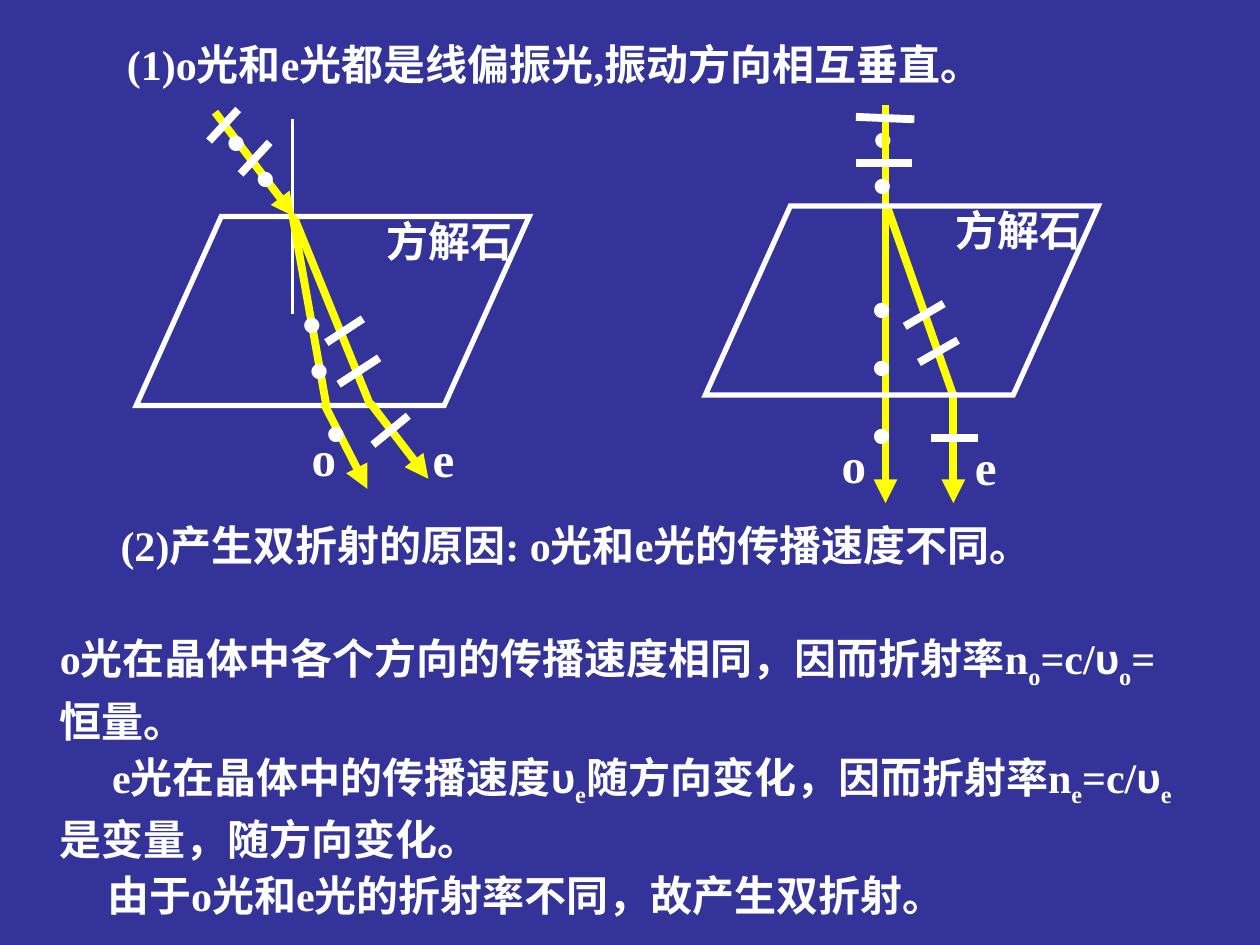
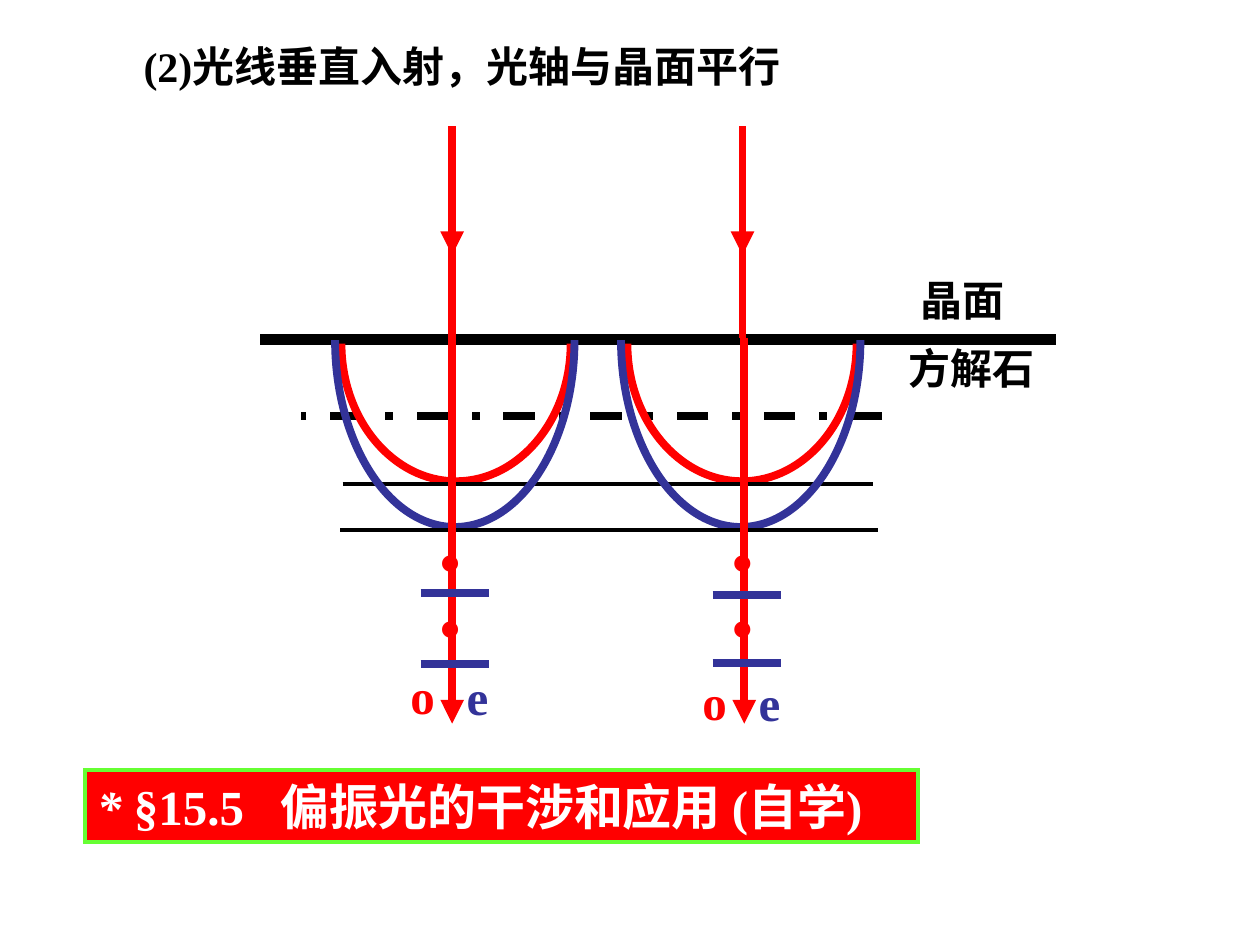
from lxml.etree import SubElement
from pptx import Presentation
from pptx.dml.color import RGBColor
from pptx.enum.dml import MSO_LINE
from pptx.enum.shapes import MSO_CONNECTOR as Connector, MSO_SHAPE as Shape
from pptx.enum.text import MSO_ANCHOR as Anchor, MSO_AUTO_SIZE as AutoSize, PP_ALIGN as Align
from pptx.oxml.ns import qn
from pptx.util import Pt

WHITE, BLACK, BLUE = "FFFFFF", "000000", "333399"
YELLOW, RED, GREEN = "FFFF00", "FF0000", "66FF33"
SERIF, SANS = "Times New Roman", "Arial"
RAY, EDGE, THIN = 4.5, 3, 2.25
CURVE = 0.55

FRAME = dict(word_wrap=True, auto_size=AutoSize.NONE, vertical_anchor=Anchor.TOP,
             margin_left=Pt(7.2), margin_right=Pt(7.2), margin_top=Pt(3.6), margin_bottom=Pt(3.6))
TEXT = dict(name=SERIF, size=Pt(24), bold=True)
LETTER = dict(TEXT, size=Pt(28))
DOT = dict(name=SANS, size=Pt(32))


def color(value):
    return RGBColor.from_string(value)


def apply(target, values):
    for name, value in values.items():
        setattr(target, name, value)


def points(*lengths):
    return [Pt(length) for length in lengths]


def add_run(paragraph, text, font, hue, baseline=None):
    run = paragraph.add_run()
    run.text = text
    apply(run.font, font)
    run.font.color.rgb = color(hue)
    if baseline:
        run.font._element.set("baseline", str(baseline))


def add_text(slide, text, box, font, hue):
    shape = slide.shapes.add_textbox(*points(*box))
    apply(shape.text_frame, FRAME)
    add_run(shape.text_frame.paragraphs[0], text, font, hue)


def add_title_slide(presentation, title, box, background, hue):
    slide = presentation.slides.add_slide(presentation.slide_layouts[5])
    slide.background.fill.solid()
    slide.background.fill.fore_color.rgb = color(background)
    shape = slide.shapes.title
    apply(shape, dict(zip(("left", "top", "width", "height"), points(*box))))
    apply(shape.text_frame, FRAME)
    paragraph = shape.text_frame.paragraphs[0]
    apply(paragraph, dict(alignment=Align.LEFT, space_before=Pt(0)))
    add_run(paragraph, title, TEXT, hue)
    return slide


def add_line(slide, ends, hue, width=RAY, arrow=False, dash=None):
    connector = slide.shapes.add_connector(Connector.STRAIGHT, *points(*ends))
    connector.line.color.rgb = color(hue)
    connector.line.width = Pt(width)
    if dash:
        connector.line.dash_style = dash
    properties = connector._element.spPr
    if arrow:
        SubElement(properties.find(qn("a:ln")), qn("a:tailEnd"), type="triangle")
    SubElement(properties, qn("a:effectLst"))


def add_dot(slide, x, y, hue, bold=False):
    add_text(slide, "•", (x - 12.5, y - 24.8, 40, 46), dict(DOT, bold=bold), hue)


def add_letter(slide, letter, left, top, hue):
    add_text(slide, letter, (left, top, 42, 41), LETTER, hue)


def outline(shape, hue, width):
    shape.shadow.inherit = False
    shape.fill.background()
    shape.line.color.rgb = color(hue)
    shape.line.width = Pt(width)
    SubElement(shape._element.spPr.find(qn("a:ln")), qn("a:miter"), lim="800000")


def add_crystal(slide, left, top):
    crystal = slide.shapes.add_shape(Shape.PARALLELOGRAM, *points(left, top, 224.6, 108))
    crystal.adjustments[0] = 0.45
    outline(crystal, WHITE, EDGE)
    add_text(slide, "方解石", (left + 135.8, top - 4.3, 93, 36), TEXT, WHITE)


def bend_segments(shape):
    outline_path = next(shape._element.iter(qn("a:path")))
    segments = outline_path.findall(qn("a:lnTo"))
    for start in range(0, len(segments), 3):
        bend = SubElement(outline_path, qn("a:cubicBezTo"))
        for segment in segments[start:start + 3]:
            bend.append(segment[0])
            outline_path.remove(segment)


def add_wavefront(slide, center, top, radius, depth, hue):
    curve = [(1, 0), (1, CURVE), (CURVE, 1), (0, 1), (-CURVE, 1), (-1, CURVE), (-1, 0)]
    corners = [(Pt(center + radius * x), Pt(top + depth * y)) for x, y in curve]
    builder = slide.shapes.build_freeform(*corners[0])
    builder.add_line_segments(corners[1:], close=False)
    wavefront = builder.convert_to_shape()
    bend_segments(wavefront)
    outline(wavefront, hue, RAY)


def add_explanation(slide):
    index = dict(baseline=-25000)
    speed = dict(font=dict(TEXT, name=SANS))
    paragraphs = [
        (34.6, 0, [("(2)产生双折射的原因: o光和e光的传播速度不同。", {})]),
        (0, 32.8, [("o光在晶体中各个方向的传播速度相同，因而折射率n", {}), ("o", index), ("=c/", {}),
                   ("υ", speed), ("o", index), ("=恒量。", {})]),
        (29.8, 0, [("e光在晶体中的传播速度", {}), ("υ", speed), ("e", index),
                   ("随方向变化，因而折射率n", {}), ("e", index), ("=c/", {}),
                   ("υ", speed), ("e", index), ("是变量，随方向变化。", {})]),
        (27, 0, [("由于o光和e光的折射率不同，故产生双折射。", {})]),
    ]
    frame = slide.shapes.add_textbox(*points(27.2, 290.4, 662.4, 243)).text_frame
    apply(frame, FRAME)
    for number, (indent, before, pieces) in enumerate(paragraphs):
        paragraph = frame.add_paragraph() if number else frame.paragraphs[0]
        apply(paragraph, dict(line_spacing=1.1, space_before=Pt(before)))
        paragraph._p.get_or_add_pPr().set("indent", str(Pt(indent)))
        for text, style in pieces:
            add_run(paragraph, text, **{"font": TEXT, "hue": WHITE, **style})


def add_marks(slide, ticks, dots):
    for tick in ticks:
        add_line(slide, tick, WHITE)
    for x, y in dots:
        add_dot(slide, x, y, WHITE)


def add_oblique_incidence(slide):
    add_crystal(slide, 77.8, 123.8)
    add_line(slide, (167, 68, 167, 179.3), WHITE, 1.5)
    for ends, arrow in [((167, 122.4, 186.5, 231.8), False), ((168.5, 125.3, 211.7, 231.8), False),
                        ((211.7, 230.4, 244.8, 273.6), True), ((185, 230.4, 210, 279.4), True),
                        ((122.9, 64.1, 168.3, 123.8), True)]:
        add_line(slide, ends, YELLOW, arrow=arrow)
    add_marks(slide,
              [(119.5, 80.6, 136.1, 62.6), (137.5, 99.4, 154.1, 81.4), (186.5, 195.8, 207.4, 182.2),
               (193.5, 219.6, 216.7, 204.5), (213.1, 254.2, 233.3, 237.6)],
              [(134.8, 82), (151.5, 102.6), (178, 186), (182.2, 212.3), (191.8, 248.3)])
    add_letter(slide, "o", 171, 240.5, WHITE)
    add_letter(slide, "e", 240.2, 241.2, WHITE)


def add_normal_incidence(slide):
    add_dot(slide, 504.3, 80.6, WHITE)
    for ends, arrow in [((506, 59.8, 506, 287.5), True), ((506.9, 118, 545, 226.8), False),
                        ((544.8, 223.9, 544.8, 287.5), True)]:
        add_line(slide, ends, YELLOW, arrow=arrow)
    add_marks(slide,
              [(489.1, 66.8, 522.5, 68.2), (489.1, 93.3, 521.1, 93.3), (517, 186.5, 539.3, 173.5),
               (525.1, 207.2, 547.4, 194.4), (532.2, 250.1, 558.7, 250.1)],
              [(504, 106.6), (503.7, 177.4), (503.7, 210.6), (503.7, 249.4)])
    add_letter(slide, "o", 473.8, 244.8, WHITE)
    add_letter(slide, "e", 550, 245.9, WHITE)
    add_crystal(slide, 403, 117.8)


def add_incoming_ray(slide, x):
    add_line(slide, (x, 72.3, x, 193), RED)
    add_line(slide, (x, 113.8, x, 145.8), RED, arrow=True)


def add_outgoing_ray(slide, x, tick_levels, letter_top):
    add_line(slide, (x, 193, x, 413.5), RED, arrow=True)
    for dot_y, tick_y in zip((322, 360.1), tick_levels):
        add_dot(slide, x - 1.3, dot_y, RED, bold=True)
        add_line(slide, (x - 18, tick_y, x + 21, tick_y), BLUE)
    add_letter(slide, "o", x - 31, letter_top, RED)
    add_letter(slide, "e", x + 1.2, letter_top + 0.7, BLUE)


def add_banner(slide):
    banner = slide.shapes.add_shape(Shape.RECTANGLE, *points(48.5, 440.1, 476, 41))
    outline(banner, GREEN, THIN)
    banner.fill.solid()
    banner.fill.fore_color.rgb = color(RED)
    apply(banner.text_frame, FRAME)
    paragraph = banner.text_frame.paragraphs[0]
    paragraph.alignment = Align.LEFT
    tabs = SubElement(paragraph._p.get_or_add_pPr(), qn("a:tabLst"))
    SubElement(tabs, qn("a:tab"), pos=str(Pt(104.7)), algn="l")
    add_run(paragraph, "* ", dict(LETTER, italic=True), WHITE)
    add_run(paragraph, "§15.5\t偏振光的干涉和应用 (自学)", LETTER, WHITE)


def build_polarization_slide(presentation):
    slide = add_title_slide(presentation, "(1)o光和e光都是线偏振光,振动方向相互垂直。",
                            (65.3, 18.3, 617, 36), BLUE, WHITE)
    add_oblique_incidence(slide)
    add_normal_incidence(slide)
    add_explanation(slide)


def build_wavefront_slide(presentation):
    slide = add_title_slide(presentation, "(2)光线垂直入射，光轴与晶面平行",
                            (74.8, 19.4, 543.6, 36), WHITE, BLACK)
    add_text(slide, "晶面", (519, 153.4, 69, 36), TEXT, BLACK)
    add_text(slide, "方解石", (512, 192.2, 88.6, 36), TEXT, BLACK)
    add_line(slide, (148.8, 194, 603.2, 194), BLACK, 6)
    add_line(slide, (504, 237.6, 172, 237.6), BLACK, dash=MSO_LINE.DASH_DOT)
    for x in (258.4, 424.3):
        add_incoming_ray(slide, x)
    for center, top, radius, depth, hue, tangent in [
            (260.6, 196.4, 65.5, 78.6, RED, (195.8, 276.5, 498.9, 276.5)),
            (259.9, 194.4, 68.4, 106.8, BLUE, (194.4, 302.6, 501.8, 302.6))]:
        for offset in (0, 163.4):
            add_wavefront(slide, center + offset, top, radius, depth, hue)
        add_line(slide, tangent, BLACK, THIN)
    for x, tick_levels, letter_top in [(258.4, (339, 379.5), 376.6), (425.3, (340, 378.7), 380.3)]:
        add_outgoing_ray(slide, x, tick_levels, letter_top)
    add_banner(slide)


def main():
    presentation = Presentation()
    apply(presentation, dict(slide_width=Pt(720), slide_height=Pt(540)))
    build_polarization_slide(presentation)
    build_wavefront_slide(presentation)
    presentation.save("out.pptx")


if __name__ == "__main__":
    main()
